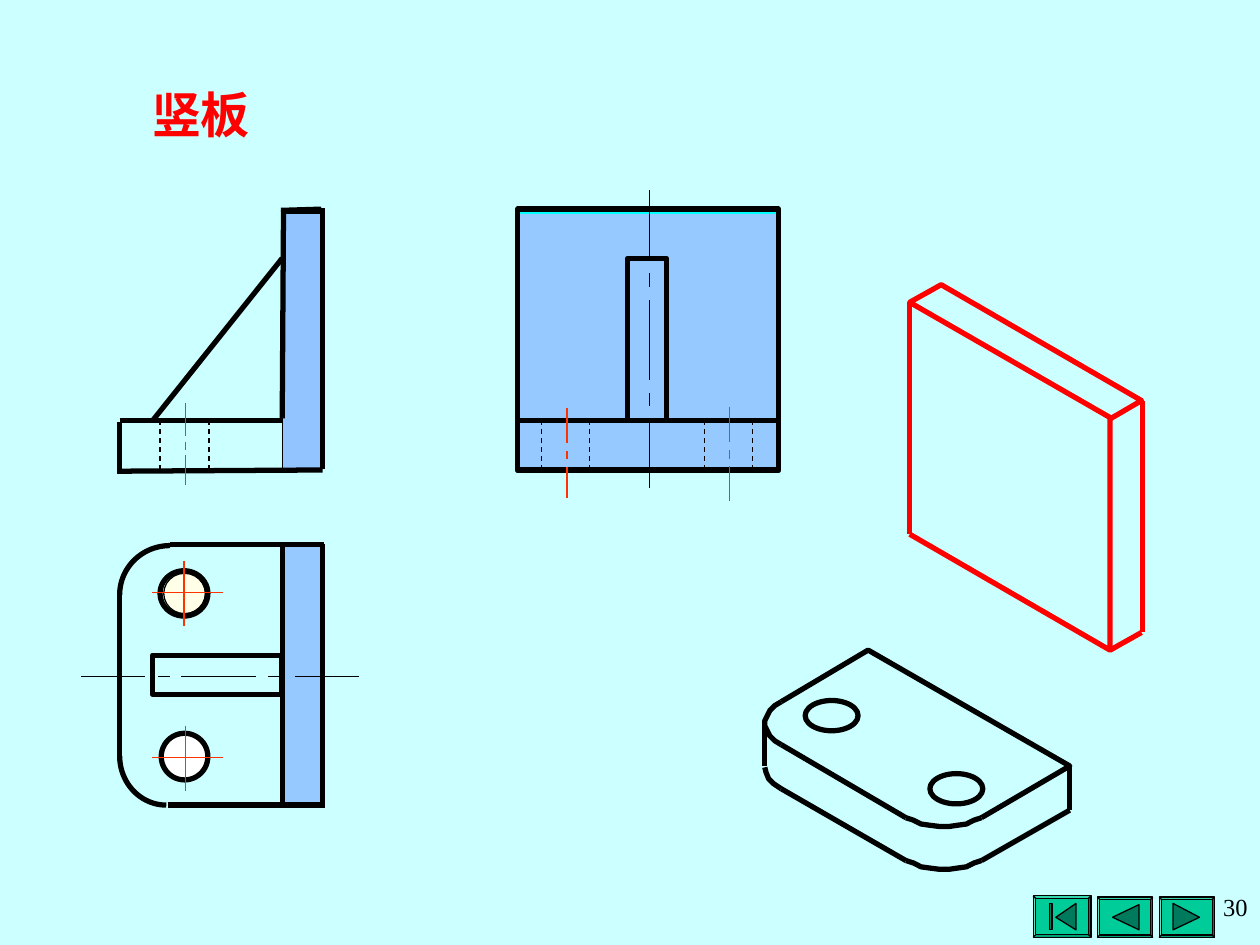
import lxml.etree
import pptx
import pptx.dml.color
import pptx.enum.dml
import pptx.enum.shapes
import pptx.enum.text
import pptx.oxml.ns
import pptx.util

Inches = pptx.util.Inches
Pt = pptx.util.Pt
RGBColor = pptx.dml.color.RGBColor
qn = pptx.oxml.ns.qn
SHAPE = pptx.enum.shapes.MSO_SHAPE
STRAIGHT = pptx.enum.shapes.MSO_CONNECTOR.STRAIGHT
ALIGN = pptx.enum.text.PP_ALIGN

COLORS = {
    "background": "CCFFFF", "button": "00CC99", "symbol": "007A5C", "plate": "6699FF",
    "cyan": "00FFFF", "black": "000000", "red": "FF0000", "axis": "FF3300",
    "white": "FFFFFF", "yellow": "FFFF99", "cream": "FFFFE7",
}
THICK, THIN, HAIR = 3, 0.75, 0.25

presentation = pptx.Presentation()
presentation.slide_width = Inches(10)
presentation.slide_height = Inches(7.5)
slide = presentation.slides.add_slide(presentation.slide_layouts[5])
shapes = slide.shapes
slide.background.fill.solid()
slide.background.fill.fore_color.rgb = RGBColor.from_string(COLORS["background"])


def style_shape(shape, fill, line, width, opacity=100):
    shape.shadow.inherit = False
    if fill:
        shape.fill.solid()
        shape.fill.fore_color.rgb = RGBColor.from_string(COLORS[fill])
        if opacity < 100:
            color = shape.fill._xPr.find(qn("a:solidFill"))[0]
            lxml.etree.SubElement(color, qn("a:alpha")).set("val", str(opacity * 1000))
    else:
        shape.fill.background()
    shape.line.color.rgb = RGBColor.from_string(COLORS[line])
    shape.line.width = Pt(width)


def draw_line(x1, y1, x2, y2, color="black", width=THICK, dashed=False):
    line = shapes.add_connector(STRAIGHT, Inches(x1), Inches(y1), Inches(x2), Inches(y2))
    line.line.color.rgb = RGBColor.from_string(COLORS[color])
    line.line.width = Pt(width)
    if dashed:
        line.line.dash_style = pptx.enum.dml.MSO_LINE.DASH
    lxml.etree.SubElement(line._element.spPr, qn("a:effectLst"))


title = shapes.title
title.left, title.top, title.width, title.height = map(Inches, (0.99, 0.62, 1.21, 0.57))
title.text_frame.text = "竖板"
title.text_frame.word_wrap = False
title.text_frame.vertical_anchor = pptx.enum.text.MSO_ANCHOR.TOP
paragraph = title.text_frame.paragraphs[0]
paragraph.alignment = ALIGN.CENTER
font = paragraph.runs[0].font
font.name, font.size, font.bold = "Times New Roman", Pt(28), True
font.color.rgb = RGBColor.from_string(COLORS["red"])

preset_shapes = [
    (SHAPE.BEVEL, 9.2, 7.12, 0.44, 0.32, "button", 100, "black", THIN),
    (SHAPE.BEVEL, 8.71, 7.12, 0.44, 0.32, "button", 100, "black", THIN),
    (SHAPE.BEVEL, 8.2, 7.11, 0.46, 0.33, "button", 100, "black", THIN),
    (SHAPE.RECTANGLE, 8.33, 7.17, 0.02, 0.21, "symbol", 100, "black", THIN),
    (SHAPE.RECTANGLE, 4.11, 1.69, 2.08, 2.03, "plate", 52, "cyan", THIN),
    (SHAPE.RECTANGLE, 2.24, 1.69, 0.31, 2.03, "plate", 57, "black", THIN),
    (SHAPE.RECTANGLE, 2.24, 4.34, 0.31, 2.03, "plate", 52, "cyan", THIN),
    (SHAPE.OVAL, 6.39, 5.56, 0.42, 0.24, None, 100, "black", THICK),
    (SHAPE.OVAL, 7.38, 6.14, 0.42, 0.24, None, 100, "black", THICK),
    (SHAPE.OVAL, 1.3, 5.84, 0.33, 0.33, "yellow", 100, "black", THIN),
    (SHAPE.OVAL, 1.3, 4.55, 0.33, 0.32, "cream", 100, "black", THIN),
    (SHAPE.RECTANGLE, 4.11, 1.66, 2.07, 2.07, None, 100, "black", THICK),
    (SHAPE.RECTANGLE, 4.98, 2.05, 0.31, 1.29, None, 100, "black", THICK),
    (SHAPE.RECTANGLE, 4.11, 3.34, 2.07, 0.39, None, 100, "black", THICK),
    (SHAPE.RECTANGLE, 1.21, 5.2, 1.03, 0.31, None, 100, "black", THICK),
    (SHAPE.OVAL, 1.28, 5.82, 0.37, 0.37, "white", 100, "black", THICK),
    (SHAPE.OVAL, 1.27, 4.53, 0.38, 0.36, None, 100, "black", THICK),
]
for kind, left, top, width, height, fill, opacity, line, weight in preset_shapes:
    shape = shapes.add_shape(kind, Inches(left), Inches(top), Inches(width), Inches(height))
    style_shape(shape, fill, line, weight, opacity)
    if kind == SHAPE.BEVEL:
        shape.adjustments[0] = 0.06

rounded_corners = [(0.95, 4.33, 0.8, 0.78, 180, 270), (0.95, 5.61, 0.74, 0.78, 90, 180)]
for left, top, width, height, start, end in rounded_corners:
    arc = shapes.add_shape(SHAPE.ARC, Inches(left), Inches(top), Inches(width), Inches(height))
    arc.adjustments[0] = start * 0.6
    arc.adjustments[1] = end * 0.6
    style_shape(arc, None, "black", THICK)

front_corner = [(7.19, 6.49), (7.25, 6.51), (7.31, 6.54), (7.38, 6.55), (7.46, 6.56),
                (7.53, 6.56), (7.6, 6.55), (7.67, 6.54), (7.73, 6.51), (7.79, 6.49)]
base_thickness = 0.34
outlines = [
    ("symbol", "black", THIN, [(9.31, 7.17), (9.52, 7.28), (9.31, 7.38)]),
    ("symbol", "black", THIN, [(8.83, 7.28), (9.04, 7.18), (9.04, 7.38)]),
    ("symbol", "black", THIN, [(8.38, 7.28), (8.54, 7.17), (8.54, 7.38)]),
    (None, "red", THICK, [(8.81, 3.32), (8.81, 5.16), (7.22, 4.24)]),
    (None, "red", THICK, [(9.06, 3.18), (8.82, 3.32), (7.22, 2.4), (7.47, 2.26), (9.06, 3.18)]),
    (None, "black", THICK, [(6.2, 5.57), (6.89, 5.16), (8.49, 6.08), (7.79, 6.49)]),
    (None, "black", THICK, [(6.2, 5.57), (6.15, 5.6), (6.11, 5.64), (6.09, 5.68), (6.07, 5.72),
                            (6.07, 5.76), (6.09, 5.8), (6.11, 5.84), (6.15, 5.88), (6.2, 5.91)]),
    (None, "black", THICK, [(6.07, 6.09), (6.08, 6.13), (6.1, 6.18), (6.14, 6.22), (6.2, 6.26)]),
    (None, "black", THICK, front_corner),
    (None, "black", THICK, [(x, y + base_thickness) for x, y in front_corner]),
    (None, "black", THICK, [(1.33, 6.39), (2.24, 6.39), (2.24, 4.32), (1.35, 4.32)]),
]
for fill, color, weight, points in outlines:
    vertices = [(Inches(x), Inches(y)) for x, y in points]
    builder = shapes.build_freeform(*vertices[0])
    builder.add_line_segments(vertices[1:], close=fill is not None)
    style_shape(builder.convert_to_shape(), fill, color, weight)

for edge in [(7.22, 2.4, 7.22, 4.24), (9.07, 3.18, 9.07, 5.02), (9.06, 5.02, 8.81, 5.16)]:
    draw_line(*edge, color="red")

base_edges = [
    (8.49, 6.09, 8.49, 6.43), (6.2, 5.91, 7.19, 6.49), (8.49, 6.43, 7.79, 6.83),
    (7.19, 6.83, 6.2, 6.26), (6.07, 5.74, 6.07, 6.08),
]
top_view_edges = [
    (0.95, 6, 0.95, 4.7), (2.21, 4.32, 2.57, 4.32), (2.23, 6.39, 2.58, 6.39),
    (2.56, 6.37, 2.56, 4.32),
]
front_view_edges = [
    (2.23, 1.67, 2.55, 1.66), (0.95, 3.73, 0.95, 3.35), (0.95, 3.34, 2.24, 3.34),
    (1.21, 3.34, 2.24, 2.05), (2.25, 1.67, 2.24, 3.32), (2.56, 1.65, 2.56, 3.72),
    (0.93, 3.74, 2.56, 3.73),
]
for edge in base_edges + top_view_edges + front_view_edges:
    draw_line(*edge)

for x in (1.27, 1.66, 4.3, 4.68, 5.59, 5.97):
    draw_line(x, 3.73, x, 3.34, width=THIN, dashed=True)
for start, end in [(6.03, 6.38), (4.7, 4.34)]:
    draw_line(2.55, start, 2.55, end, width=THIN, dashed=True)

for x, y in [(1.46, 4.7), (1.47, 6.01)]:
    draw_line(1.21, y, 1.77, y, "axis", THIN)
    draw_line(x, y - 0.25, x, y + 0.27, "axis", THIN)

hole_axes = {
    1.47: [(3.2, 3.46), (3.51, 3.57), (3.61, 3.85)],
    4.5: [(3.24, 3.52), (3.58, 3.64), (3.71, 3.95)],
    5.79: [(3.23, 3.51), (3.57, 3.64), (3.7, 3.98)],
}
for x, dashes in hole_axes.items():
    for start, end in dashes:
        draw_line(x, start, x, end, "axis", THIN)

for start, end in [(1.51, 2.06), (2.17, 2.28), (2.38, 3.02), (3.12, 3.22), (3.33, 3.87)]:
    draw_line(5.15, start, 5.15, end, width=HAIR)
for start, end in [(2.85, 2.34), (2.24, 2.13), (2.03, 1.44), (1.35, 1.25), (1.15, 0.64)]:
    draw_line(start, 5.37, end, 5.37, width=HAIR)

page_number = shapes.add_textbox(Inches(7.48), Inches(7.03), Inches(2.52), Inches(0.61))
page_number.text_frame.word_wrap = True
page_number.text_frame.text = "30"
paragraph = page_number.text_frame.paragraphs[0]
paragraph.alignment = ALIGN.RIGHT
font = paragraph.runs[0].font
font.name, font.size = "Times New Roman", Pt(14)
font.color.rgb = RGBColor.from_string(COLORS["black"])

presentation.save("out.pptx")
